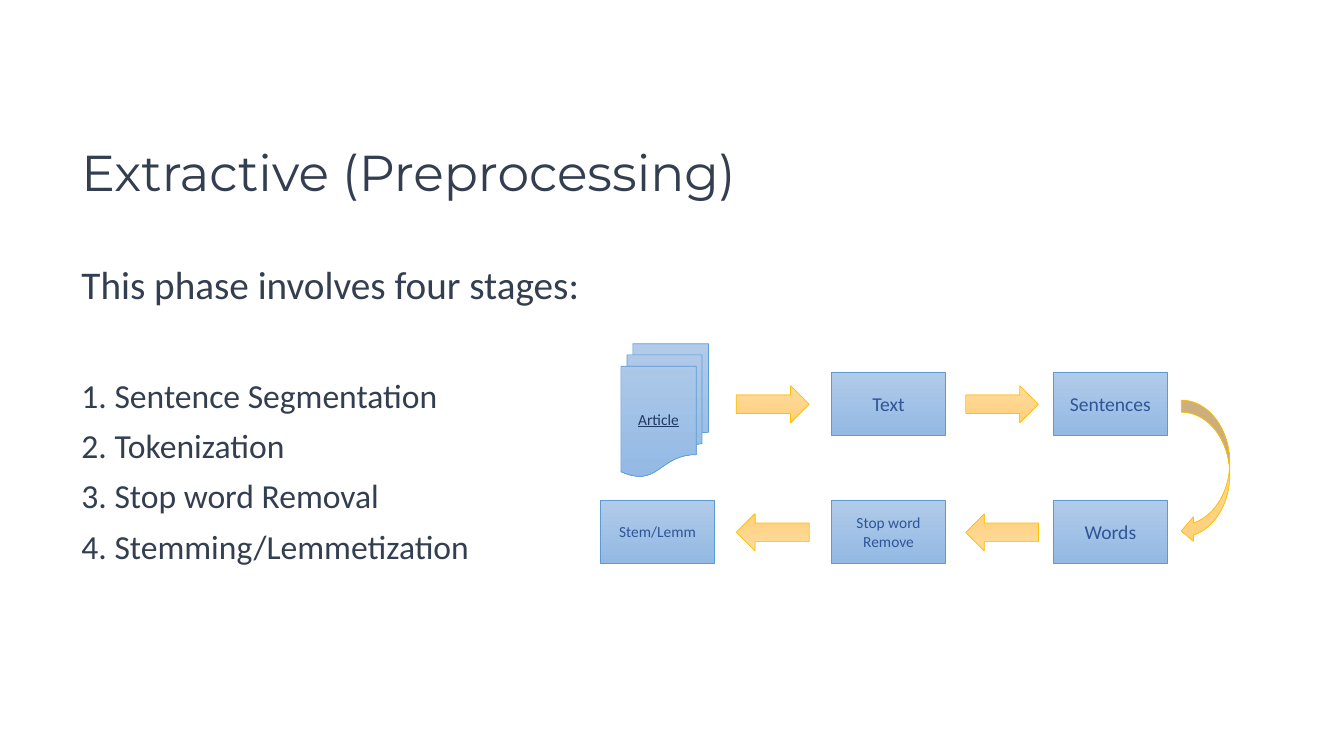
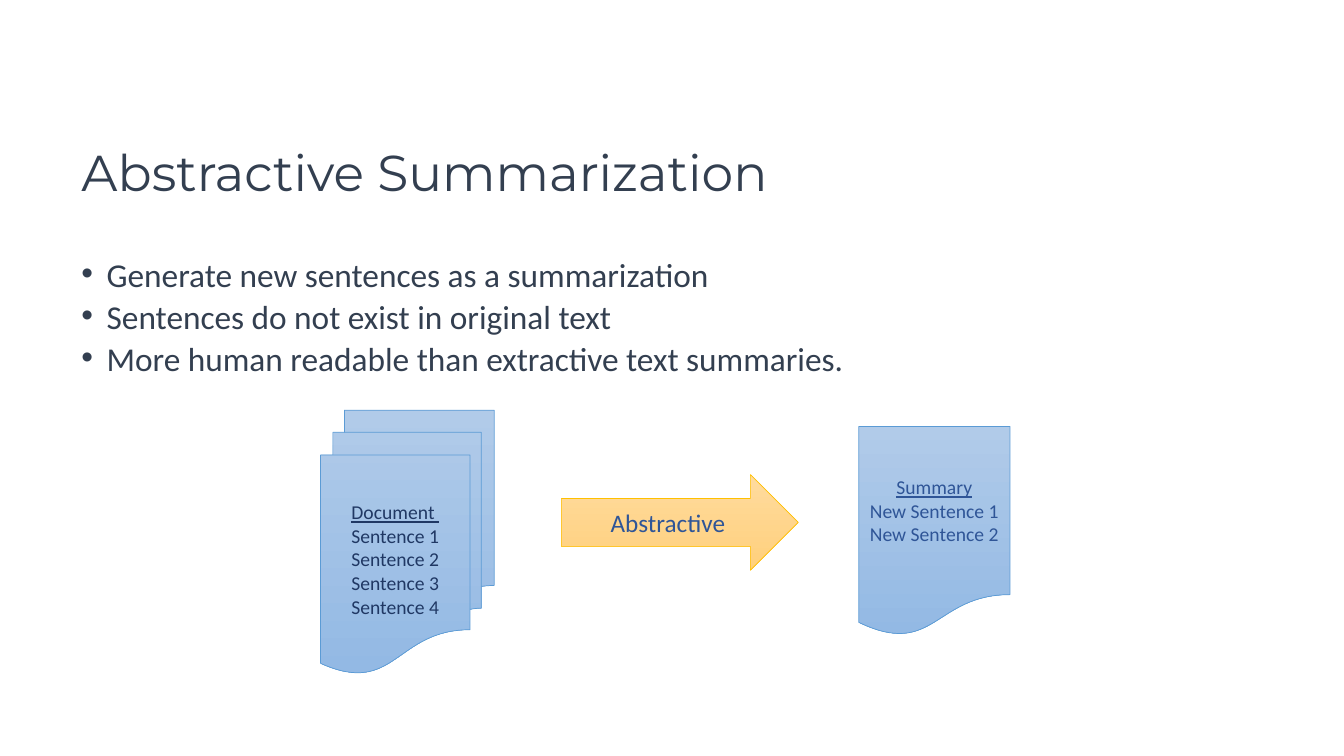
from lxml import etree
from pptx import Presentation
from pptx.dml.color import RGBColor
from pptx.enum.shapes import MSO_SHAPE
from pptx.enum.text import MSO_ANCHOR, MSO_AUTO_SIZE, PP_ALIGN
from pptx.oxml.ns import qn
from pptx.util import Pt

LEFT, CENTER = PP_ALIGN.LEFT, PP_ALIGN.CENTER
TOP, MIDDLE = MSO_ANCHOR.TOP, MSO_ANCHOR.MIDDLE
NO_FIT = MSO_AUTO_SIZE.NONE
RECTANGLE, ARROW = MSO_SHAPE.RECTANGLE, MSO_SHAPE.RIGHT_ARROW
CURVED_ARROW = MSO_SHAPE.CURVED_LEFT_ARROW
DOCUMENT = MSO_SHAPE.FLOWCHART_DOCUMENT
DOCUMENTS = MSO_SHAPE.FLOWCHART_MULTIDOCUMENT

COLORS = {
    "heading": "333F50", "navy": "203864", "blue": "2F5597",
    "blue top": "B1CBE9", "blue bottom": "93B9E4", "blue line": "5B9BD5",
    "gold top": "FFDB9E", "gold bottom": "FFD07C", "gold line": "FFC000",
}


def add_text(para, text, color, **formats):
    """Add a run and set its font from the format values."""
    span = para.add_run()
    span.text = text
    span.font.color.rgb = RGBColor.from_string(COLORS[color])
    for name, value in formats.items():
        setattr(span.font, name, value)


def add_block(page, kind, place, tone, lines=(), size=14, color="blue", underline=False):
    """Add a gradient shape with centred lines; underline marks the first one."""
    box = page.shapes.add_shape(kind, *[Pt(length) for length in place])
    box.shadow.inherit = False
    box.fill.gradient()
    box.fill.gradient_angle = 270
    for stop, end in zip(box.fill.gradient_stops, ("top", "bottom")):
        stop.color.rgb = RGBColor.from_string(COLORS[f"{tone} {end}"])
    box.line.color.rgb = RGBColor.from_string(COLORS[f"{tone} line"])
    box.line.width = Pt(0.5)
    frame = box.text_frame
    frame.word_wrap = True
    frame.vertical_anchor = MIDDLE
    for index, line in enumerate(lines):
        para = frame.add_paragraph() if index else frame.paragraphs[0]
        para.alignment = CENTER
        add_text(para, line, color, name="Calibri", size=Pt(size),
                 underline=underline and index == 0)
    return box


deck = Presentation()
deck.slide_width, deck.slide_height = Pt(960), Pt(540)

# Titles and lists: each list line is text, size, space before
contents = [
    {"title": "Extractive (Preprocessing)", "height": 280, "spacing": 0.9, "bullet": None,
     "lines": [("This phase involves four stages:", 28, 10),
               ("1. Sentence Segmentation", 24, 51),
               ("2. Tokenization", 24, 10),
               ("3. Stop word Removal", 24, 10),
               ("4. Stemming/Lemmetization", 24, 10)]},
    {"title": "Abstractive Summarization", "height": 89, "spacing": 0.7, "bullet": "•",
     "lines": [("Generate new sentences as a summarization", 23.8, 10),
               ("Sentences do not exist in original text", 23.8, 10),
               ("More human readable than extractive text summaries.", 23.8, 10)]},
]
pages = []
for content in contents:
    page = deck.slides.add_slide(deck.slide_layouts[1])
    pages.append(page)
    title, body = page.placeholders
    for box, place, anchor in ((title, (51, 59, 559.5, 132), MIDDLE),
                               (body, (51, 186, 828, content["height"]), TOP)):
        box.left, box.top, box.width, box.height = [Pt(length) for length in place]
        box.text_frame.word_wrap = True
        box.text_frame.auto_size = NO_FIT
        box.text_frame.vertical_anchor = anchor

    para = title.text_frame.paragraphs[0]
    para.alignment, para.line_spacing = LEFT, 0.9
    add_text(para, content["title"], "heading", name="Montserrat", size=Pt(36))

    indent = Pt(18) if content["bullet"] else 0
    for index, (text, size, gap) in enumerate(content["lines"]):
        para = body.text_frame.add_paragraph() if index else body.text_frame.paragraphs[0]
        para.line_spacing, para.space_before = content["spacing"], Pt(gap)
        add_text(para, text, "heading", name="Calibri", size=Pt(size))
        properties = para._p.get_or_add_pPr()
        properties.set("marL", str(indent))
        properties.set("indent", str(-indent))
        if content["bullet"]:
            etree.SubElement(properties, qn("a:buChar")).set("char", content["bullet"])
        else:
            etree.SubElement(properties, qn("a:buNone"))

extractive, abstractive = pages

# Preprocessing flow: rightward along the upper row, back along the lower one
columns = (429, 594, 752.5)
rows = (265.7, 357.1)
add_block(extractive, DOCUMENTS, (443.5, 245.5, 62.6, 95), "blue", ["Article"], 11, "navy", True)
steps = [("Text", 1, 0, 14), ("Sentences", 2, 0, 14), ("Words", 2, 1, 14),
         ("Stop word Remove", 1, 1, 11), ("Stem/Lemm", 0, 1, 11)]
for label, column, row, size in steps:
    add_block(extractive, RECTANGLE, (columns[column], rows[row], 81.4, 45.4), "blue", [label], size)
for row, top in enumerate(rows):
    for left in (526, 689.8):
        arrow = add_block(extractive, ARROW, (left, top + 9.8, 52, 26.6), "gold")
        arrow.rotation = 180 * row
add_block(extractive, CURVED_ARROW, (843.8, 285.8, 34.6, 102.2), "gold")

# Abstractive flow: documents, arrow, summary
add_block(abstractive, DOCUMENTS, (229, 293, 124, 188), "blue",
          ["Document "] + [f"Sentence {number}" for number in range(1, 5)], 14, "navy", True)
add_block(abstractive, ARROW, (401, 339, 169.2, 68.4), "gold", ["Abstractive"], 18)
add_block(abstractive, DOCUMENT, (613.4, 304.6, 108, 149.8), "blue",
          ["Summary"] + [f"New Sentence {number}" for number in (1, 2)], underline=True)

deck.save("out.pptx")
